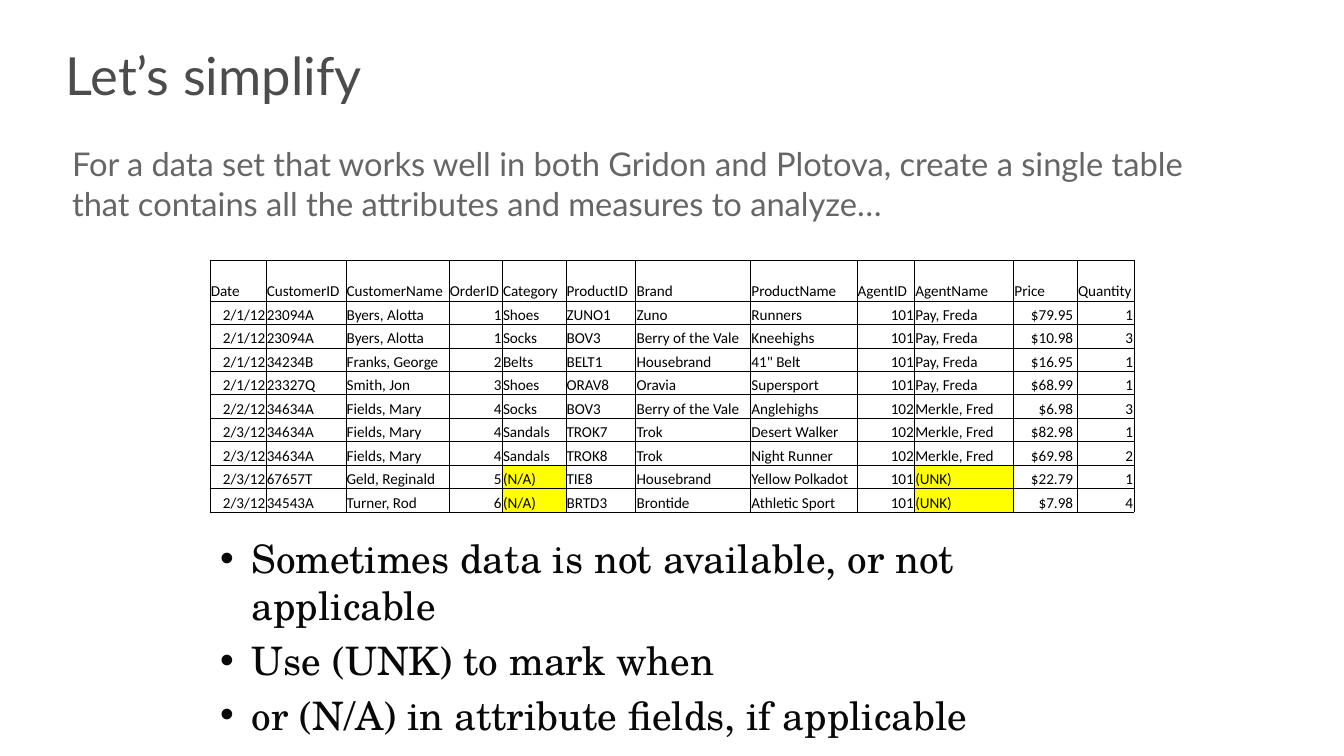
import lxml.etree
import pptx
import pptx.dml.color
import pptx.enum.text
import pptx.oxml.ns
import pptx.util

Pt = pptx.util.Pt
LEFT = pptx.enum.text.PP_ALIGN.LEFT
RIGHT = pptx.enum.text.PP_ALIGN.RIGHT
TOP = pptx.enum.text.MSO_ANCHOR.TOP
BOTTOM = pptx.enum.text.MSO_ANCHOR.BOTTOM

TITLE_GRAY = pptx.dml.color.RGBColor(0x4C, 0x4C, 0x4C)
LEAD_GRAY = pptx.dml.color.RGBColor(0x66, 0x66, 0x66)
LIST_BLACK = pptx.dml.color.RGBColor(0x08, 0x08, 0x08)
BLACK = pptx.dml.color.RGBColor(0, 0, 0)
YELLOW = pptx.dml.color.RGBColor(0xFF, 0xFF, 0)

COLUMNS = {
    "Date": 48, "CustomerID": 68.5, "CustomerName": 88.5, "OrderID": 45.5,
    "Category": 54.5, "ProductID": 60, "Brand": 98.5, "ProductName": 91,
    "AgentID": 49.5, "AgentName": 85, "Price": 54.5, "Quantity": 48.5,
}
RIGHT_ALIGNED = {"Date", "OrderID", "AgentID", "Price", "Quantity"}
MISSING_MARKS = {"(N/A)", "(UNK)"}
HEADER_HEIGHT, ROW_HEIGHT = 34.65, 20.15

ORDERS = [
    ("2/1/12", "23094A", "Byers, Alotta", "1", "Shoes", "ZUNO1", "Zuno", "Runners", "101", "Pay, Freda", "$79.95", "1"),
    ("2/1/12", "23094A", "Byers, Alotta", "1", "Socks", "BOV3", "Berry of the Vale", "Kneehighs", "101", "Pay, Freda", "$10.98", "3"),
    ("2/1/12", "34234B", "Franks, George", "2", "Belts", "BELT1", "Housebrand", "41\" Belt", "101", "Pay, Freda", "$16.95", "1"),
    ("2/1/12", "23327Q", "Smith, Jon", "3", "Shoes", "ORAV8", "Oravia", "Supersport", "101", "Pay, Freda", "$68.99", "1"),
    ("2/2/12", "34634A", "Fields, Mary", "4", "Socks", "BOV3", "Berry of the Vale", "Anglehighs", "102", "Merkle, Fred", "$6.98", "3"),
    ("2/3/12", "34634A", "Fields, Mary", "4", "Sandals", "TROK7", "Trok", "Desert Walker", "102", "Merkle, Fred", "$82.98", "1"),
    ("2/3/12", "34634A", "Fields, Mary", "4", "Sandals", "TROK8", "Trok", "Night Runner", "102", "Merkle, Fred", "$69.98", "2"),
    ("2/3/12", "67657T", "Geld, Reginald", "5", "(N/A)", "TIE8", "Housebrand", "Yellow Polkadot", "101", "(UNK)", "$22.79", "1"),
    ("2/3/12", "34543A", "Turner, Rod", "6", "(N/A)", "BRTD3", "Brontide", "Athletic Sport", "101", "(UNK)", "$7.98", "4"),
]


def place(shape, left, top, width, height):
    shape.left, shape.top = Pt(left), Pt(top)
    shape.width, shape.height = Pt(width), Pt(height)


def set_font(para, name, size, color):
    para.font.name = name
    para.font.size = Pt(size)
    para.font.color.rgb = color


def set_frame(frame, side, edge):
    frame.word_wrap = True
    frame.auto_size = pptx.enum.text.MSO_AUTO_SIZE.NONE
    frame.vertical_anchor = TOP
    frame.margin_left = frame.margin_right = Pt(side)
    frame.margin_top = frame.margin_bottom = Pt(edge)


def write_title(title, text):
    place(title, 56.2, 47.5, 1042.5, 44)
    set_frame(title.text_frame, 0, 0)
    title.text_frame.text = text
    para = title.text_frame.paragraphs[0]
    para.alignment = LEFT
    para.line_spacing = 0.8
    set_font(para, "Lato", 45, TITLE_GRAY)


def write_list(body, items):
    place(body, 180, 453.6, 792, 108)
    set_frame(body.text_frame, 8.6, 4.3)
    body.text_frame.text = "\n".join(items)
    for index, para in enumerate(body.text_frame.paragraphs):
        para.space_before = Pt(6.7 if index else 0)
        set_font(para, "TeX Gyre Schola", 33.6, LIST_BLACK)


def add_lead(slide, text):
    box = slide.shapes.add_textbox(Pt(54.7), Pt(120.2), Pt(985), Pt(75))
    set_frame(box.text_frame, 7.2, 3.6)
    para = box.text_frame.paragraphs[0]
    para.text = text
    set_font(para, "Lato", 28, LEAD_GRAY)


def add_borders(cell):
    properties = cell._tc.get_or_add_tcPr()
    name = pptx.oxml.ns.qn
    for side in ("a:lnL", "a:lnR", "a:lnT", "a:lnB"):
        line = lxml.etree.SubElement(properties, name(side), w=str(Pt(0.5)))
        fill = lxml.etree.SubElement(line, name("a:solidFill"))
        lxml.etree.SubElement(fill, name("a:srgbClr"), val=str(BLACK))


def write_cell(cell, text, alignment, right_margin):
    cell.vertical_anchor = BOTTOM
    cell.margin_left = cell.margin_top = Pt(0.7)
    cell.margin_right, cell.margin_bottom = Pt(right_margin), Pt(0)
    para = cell.text_frame.paragraphs[0]
    para.text = text
    para.alignment = alignment
    set_font(para, "Calibri", 13, BLACK)
    add_borders(cell)
    if text in MISSING_MARKS:
        cell.fill.solid()
        cell.fill.fore_color.rgb = YELLOW
    else:
        cell.fill.background()


def add_order_table(slide):
    rows = [tuple(COLUMNS)] + ORDERS
    height = HEADER_HEIGHT + ROW_HEIGHT * len(ORDERS)
    table = slide.shapes.add_table(
        len(rows), len(COLUMNS), Pt(180), Pt(223.2), Pt(sum(COLUMNS.values())), Pt(height)
    ).table
    table.first_row = table.horz_banding = False
    for column, width in zip(table.columns, COLUMNS.values()):
        column.width = Pt(width)
    for row_index, values in enumerate(rows):
        table.rows[row_index].height = Pt(ROW_HEIGHT if row_index else HEADER_HEIGHT)
        for column_index, (heading, text) in enumerate(zip(COLUMNS, values)):
            alignment = RIGHT if row_index and heading in RIGHT_ALIGNED else LEFT
            right_margin = 3.6 if row_index and heading == "Price" else 0.7
            write_cell(table.cell(row_index, column_index), text, alignment, right_margin)


def main():
    deck = pptx.Presentation()
    deck.slide_width, deck.slide_height = Pt(1152), Pt(648)
    slide = deck.slides.add_slide(deck.slide_layouts[1])
    write_title(slide.shapes.title, "Let’s simplify")
    add_order_table(slide)
    write_list(slide.placeholders[1], [
        "Sometimes data is not available, or not applicable",
        "Use (UNK) to mark when",
        "or (N/A) in attribute fields, if applicable",
    ])
    add_lead(slide, "For a data set that works well in both Gridon and Plotova, create a single table "
                    "that contains all the attributes and measures to analyze…")
    deck.save("out.pptx")


if __name__ == "__main__":
    main()
